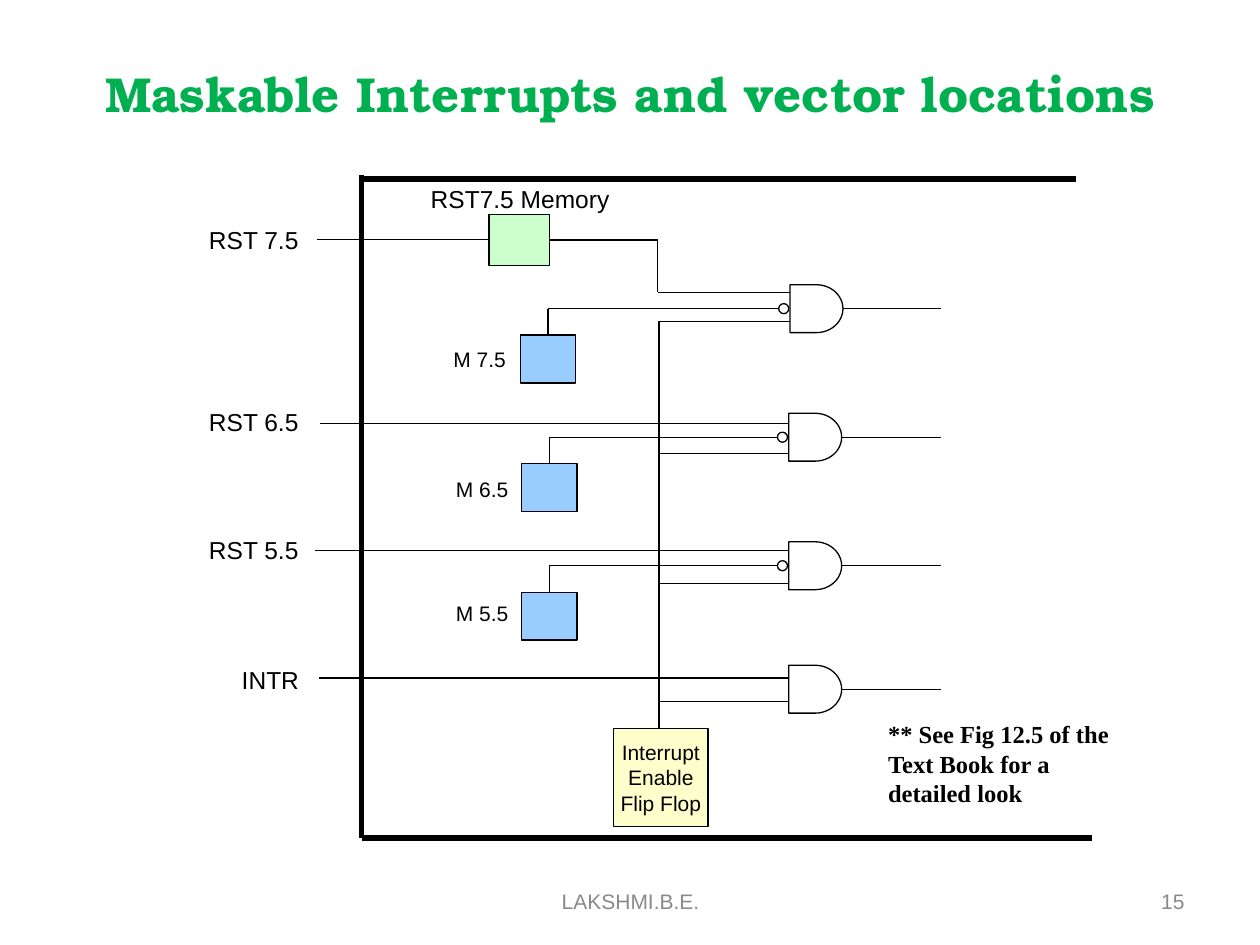
from dataclasses import dataclass
from typing import Optional

from lxml.etree import SubElement
from pptx import Presentation
from pptx.dml.color import RGBColor
from pptx.enum.shapes import MSO_CONNECTOR, MSO_SHAPE
from pptx.enum.text import MSO_ANCHOR, MSO_AUTO_SIZE, PP_ALIGN
from pptx.oxml.ns import qn
from pptx.util import Inches, Pt


@dataclass(frozen=True)
class Theme:
    ink: str = "000000"
    title: str = "00B050"
    footer: str = "898989"
    memory: str = "CCFFCC"
    mask: str = "99CCFF"
    flip_flop: str = "FFFFCC"
    title_font: str = "TeX Gyre Bonum"
    body_font: str = "Arial"
    note_font: str = "Times New Roman"
    title_size: float = 28
    label_size: float = 14
    small_size: float = 12
    wire: float = 0.75
    border: float = 3


@dataclass(frozen=True)
class Box:
    left: float
    top: float
    width: float
    height: float

    @property
    def middle(self) -> float:
        return self.top + self.height / 2

    @property
    def center(self) -> float:
        return self.left + self.width / 2

    @property
    def right(self) -> float:
        return self.left + self.width

    def lengths(self) -> tuple:
        return tuple(Inches(v) for v in (self.left, self.top, self.width, self.height))


@dataclass(frozen=True)
class Mask:
    label: str
    label_left: float
    label_top: float
    box_left: float


@dataclass(frozen=True)
class Interrupt:
    label: str
    label_box: Box
    wire_start: float
    signal_y: float
    gate_left: float
    gate_top: float
    enable_y: float
    mask: Optional[Mask] = None


THEME = Theme()
BUS_X = 5.23
MEMORY = Box(3.88, 1.7, 0.48, 0.41)
FLIP_FLOP = Box(4.87, 5.78, 0.75, 0.78)
BUBBLE = 0.08

INTERRUPTS = (
    Interrupt("RST 7.5", Box(1.56, 1.74, 0.92, 0.34), 2.52, 1.9, 6.27, 2.26, 2.55,
              Mask("M 7.5", 3.5, 2.7, 4.13)),
    Interrupt("RST 6.5", Box(1.56, 3.18, 0.92, 0.34), 2.54, 3.36, 6.26, 3.28, 3.6,
              Mask("M 6.5", 3.52, 3.73, 4.14)),
    Interrupt("RST 5.5", Box(1.56, 4.2, 0.92, 0.34), 2.5, 4.37, 6.26, 4.3, 4.63,
              Mask("M 5.5", 3.52, 4.72, 4.14)),
    Interrupt("INTR", Box(1.82, 5.23, 0.68, 0.34), 2.53, 5.38, 6.26, 5.28, 5.57),
)


def add_run(paragraph, text: str, size: float, color: str = THEME.ink,
            font: str = THEME.body_font, bold: bool = False) -> None:
    run = paragraph.add_run()
    run.text = text
    run.font.size = Pt(size)
    run.font.name = font
    run.font.bold = bold
    run.font.color.rgb = RGBColor.from_string(color)


def add_label(slide, box: Box, text: str, size: float, color: str = THEME.ink,
              align=PP_ALIGN.LEFT, anchor=MSO_ANCHOR.TOP, wrap: bool = False,
              font: str = THEME.body_font, bold: bool = False):
    frame = slide.shapes.add_textbox(*box.lengths()).text_frame
    frame.word_wrap = wrap
    frame.auto_size = MSO_AUTO_SIZE.NONE if wrap else MSO_AUTO_SIZE.SHAPE_TO_FIT_TEXT
    frame.vertical_anchor = anchor
    paragraph = frame.paragraphs[0]
    paragraph.alignment = align
    add_run(paragraph, text, size, color, font, bold)
    return paragraph


def add_line(slide, x1: float, y1: float, x2: float, y2: float,
             width: float = THEME.wire) -> None:
    line = slide.shapes.add_connector(
        MSO_CONNECTOR.STRAIGHT, Inches(x1), Inches(y1), Inches(x2), Inches(y2))
    line.line.color.rgb = RGBColor.from_string(THEME.ink)
    line.line.width = Pt(width)
    SubElement(line.element.spPr, qn("a:effectLst"))


def add_block(slide, kind, box: Box, fill: Optional[str] = None):
    shape = slide.shapes.add_shape(kind, *box.lengths())
    shape.shadow.inherit = False
    if fill:
        shape.fill.solid()
        shape.fill.fore_color.rgb = RGBColor.from_string(fill)
    else:
        shape.fill.background()
    shape.line.color.rgb = RGBColor.from_string(THEME.ink)
    shape.line.width = Pt(THEME.wire)
    return shape


def add_mask(slide, mask: Mask, gate: Box) -> None:
    """Draw a mask bit wired to the inverting input of its gate."""
    box = Box(mask.box_left, gate.top + 0.4, 0.44, 0.38)
    bubble = Box(gate.left - BUBBLE - 0.01, gate.middle - BUBBLE / 2, BUBBLE, BUBBLE)
    add_block(slide, MSO_SHAPE.RECTANGLE, box, THEME.mask)
    add_block(slide, MSO_SHAPE.OVAL, bubble)
    add_line(slide, box.center, box.top, box.center, gate.middle)
    add_line(slide, box.center, gate.middle, bubble.left, gate.middle)
    add_label(slide, Box(mask.label_left, mask.label_top, 0.63, 0.3),
              mask.label, THEME.small_size)


def add_interrupt(slide, interrupt: Interrupt, signal_end: float) -> None:
    gate = Box(interrupt.gate_left, interrupt.gate_top, 0.42, 0.38)
    add_label(slide, interrupt.label_box, interrupt.label, THEME.label_size)
    add_line(slide, interrupt.wire_start, interrupt.signal_y, signal_end, interrupt.signal_y)
    add_line(slide, BUS_X, interrupt.enable_y, gate.left, interrupt.enable_y)
    add_block(slide, MSO_SHAPE.FLOWCHART_DELAY, gate)
    add_line(slide, gate.right, gate.middle, 7.47, gate.middle)
    if interrupt.mask:
        add_mask(slide, interrupt.mask, gate)


def add_memory(slide, latched: Interrupt) -> None:
    """Draw the latch that holds the edge-triggered request, and its wire to the gate."""
    gate_input = latched.gate_top + 0.06
    add_block(slide, MSO_SHAPE.RECTANGLE, MEMORY, THEME.memory)
    add_line(slide, MEMORY.right, MEMORY.middle, BUS_X - 0.01, MEMORY.middle)
    add_line(slide, BUS_X - 0.01, MEMORY.middle, BUS_X - 0.01, gate_input)
    add_line(slide, BUS_X - 0.01, gate_input, latched.gate_left, gate_input)
    add_label(slide, Box(3.32, 1.41, 1.62, 0.34), "RST7.5 Memory", THEME.label_size)


def add_flip_flop(slide) -> None:
    frame = add_block(slide, MSO_SHAPE.RECTANGLE, FLIP_FLOP, THEME.flip_flop).text_frame
    frame.word_wrap = False
    frame.vertical_anchor = MSO_ANCHOR.MIDDLE
    for index, word in enumerate(("Interrupt", "Enable", "Flip Flop")):
        paragraph = frame.add_paragraph() if index else frame.paragraphs[0]
        paragraph.alignment = PP_ALIGN.CENTER
        add_run(paragraph, word, THEME.small_size)
    add_line(slide, BUS_X, FLIP_FLOP.top, BUS_X, INTERRUPTS[0].enable_y)


def add_title(slide) -> None:
    title = slide.shapes.title
    title.left, title.top, title.width, title.height = Box(0.5, 0.3, 9, 0.87).lengths()
    title.text_frame.vertical_anchor = MSO_ANCHOR.MIDDLE
    paragraph = title.text_frame.paragraphs[0]
    paragraph.alignment = PP_ALIGN.CENTER
    add_run(paragraph, "Maskable Interrupts and vector locations",
            THEME.title_size, THEME.title, THEME.title_font, True)


def main() -> None:
    presentation = Presentation()
    presentation.slide_width, presentation.slide_height = Inches(10), Inches(7.5)
    slide = presentation.slides.add_slide(presentation.slide_layouts[5])
    add_title(slide)
    for interrupt in INTERRUPTS:
        latched = interrupt is INTERRUPTS[0]
        add_interrupt(slide, interrupt, MEMORY.left if latched else interrupt.gate_left)
    add_memory(slide, INTERRUPTS[0])
    add_flip_flop(slide)
    for border in ((2.87, 1.39, 2.87, 6.65), (2.87, 6.65, 8.67, 6.65), (2.87, 1.42, 8.54, 1.42)):
        add_line(slide, *border, THEME.border)
    note = add_label(slide, Box(6.95, 5.66, 2.17, 0.8),
                     "** See Fig 12.5 of the Text Book for a detailed look",
                     THEME.label_size, wrap=True, font=THEME.note_font, bold=True)
    note.space_before = Pt(8.8)
    for box, text, align in ((Box(3.42, 6.95, 3.17, 0.4), "LAKSHMI.B.E.", PP_ALIGN.CENTER),
                             (Box(7.17, 6.95, 2.33, 0.4), "15", PP_ALIGN.RIGHT)):
        add_label(slide, box, text, THEME.small_size, THEME.footer, align, MSO_ANCHOR.MIDDLE, True)
    presentation.save("out.pptx")


if __name__ == "__main__":
    main()
